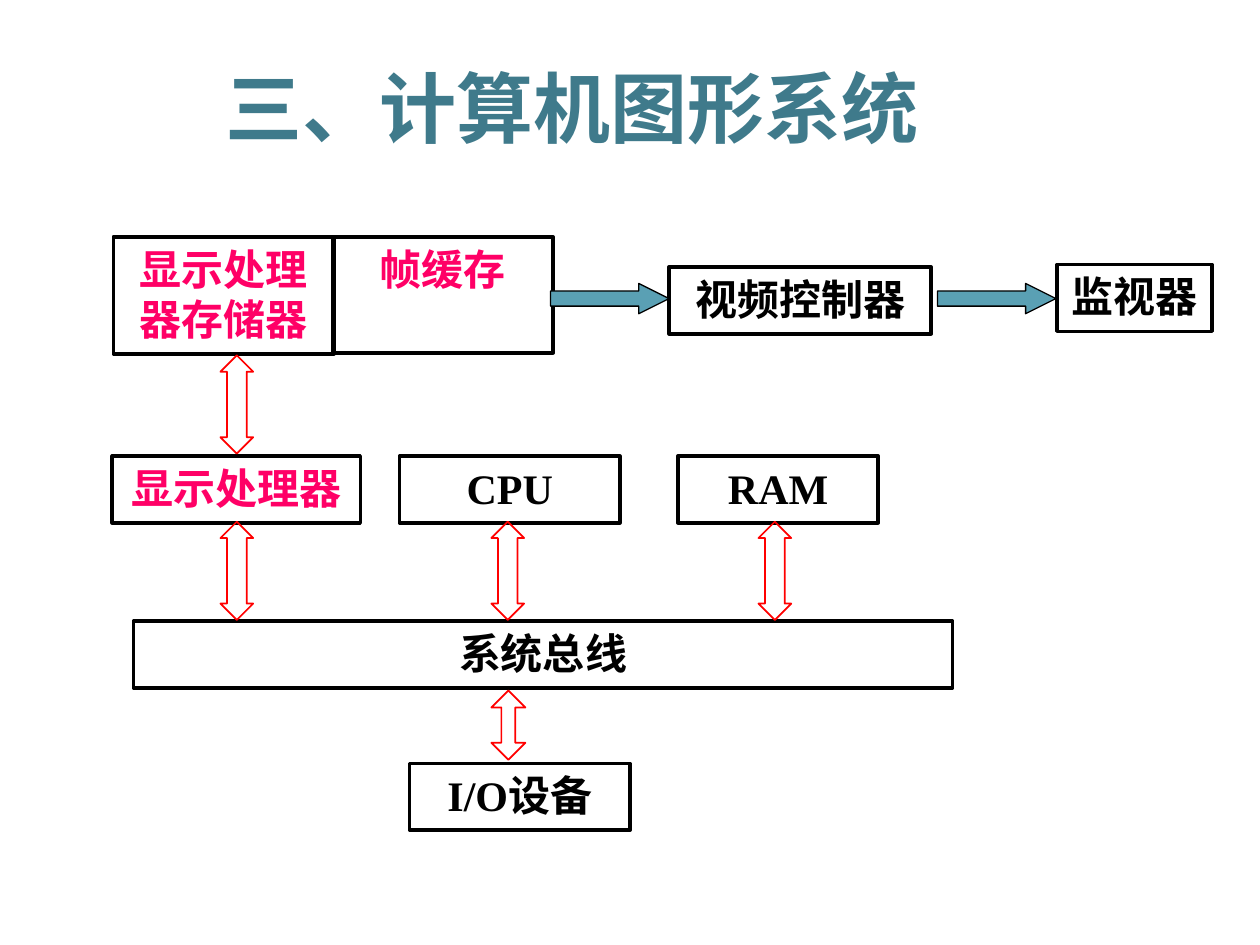
"""Build the slide on the parts of a computer graphics system."""
from pptx import Presentation
from pptx.dml.color import RGBColor
from pptx.enum.shapes import MSO_SHAPE
from pptx.enum.text import MSO_ANCHOR, MSO_AUTO_SIZE, PP_ALIGN
from pptx.util import Inches, Pt

BLACK = RGBColor(0x00, 0x00, 0x00)
RED = RGBColor(0xFF, 0x00, 0x00)
PINK = RGBColor(0xFF, 0x00, 0x66)
TEAL = RGBColor(0x5A, 0xA0, 0xB4)
DARK = RGBColor(0x3F, 0x7A, 0x8B)

deck = Presentation()
deck.slide_width, deck.slide_height = Inches(10), Inches(7.5)
slide = deck.slides.add_slide(deck.slide_layouts[6])


def add_form(kind, area, color, width, fill=None):
    form = slide.shapes.add_shape(kind, *map(Inches, area))
    form.shadow.inherit = False
    if fill is None:
        form.fill.background()
    else:
        form.fill.solid()
        form.fill.fore_color.rgb = fill
    form.line.color.rgb = color
    form.line.width = Pt(width)
    return form


def set_text(frame, text, face, size, color):
    para = frame.paragraphs[0]
    para.text = text
    para.alignment = PP_ALIGN.CENTER
    para.font.name = face
    para.font.size = Pt(size)
    para.font.bold = True
    para.font.color.rgb = color


title = slide.shapes.add_textbox(Inches(1.26), Inches(0.42), Inches(6.57), Inches(0.84))
title.text_frame.word_wrap = True
title.text_frame.vertical_anchor = MSO_ANCHOR.BOTTOM
set_text(title.text_frame, "三、计算机图形系统", "Noto Sans CJK SC", 44, DARK)

boxes = [
    ("显示处理器存储器", 0.9, 1.88, 1.75, 0.93, PINK),
    ("帧缓存", 2.64, 1.88, 1.75, 0.92, PINK),
    ("视频控制器", 5.31, 2.12, 2.08, 0.53, BLACK),
    ("监视器", 8.39, 2.1, 1.23, 0.53, BLACK),
    ("显示处理器", 0.89, 3.62, 1.97, 0.53, PINK),
    ("CPU", 3.17, 3.62, 1.75, 0.53, BLACK),
    ("RAM", 5.38, 3.62, 1.59, 0.53, BLACK),
    ("系统总线", 1.06, 4.93, 6.5, 0.53, BLACK),
    ("I/O设备", 3.25, 6.06, 1.75, 0.53, BLACK),
]
for text, *area, color in boxes:
    frame = add_form(MSO_SHAPE.RECTANGLE, area, BLACK, 2).text_frame
    frame.word_wrap = text != "监视器"
    frame.auto_size = MSO_AUTO_SIZE.NONE
    frame.vertical_anchor = MSO_ANCHOR.TOP
    set_text(frame, text, "Times New Roman", 24, color)

links = [
    (1.75, 2.82, 0.26, 0.78, 0.6),
    (1.75, 4.14, 0.26, 0.78, 0.6),
    (3.9, 4.14, 0.26, 0.78, 0.6),
    (6.02, 4.14, 0.26, 0.78, 0.6),
    (3.9, 5.48, 0.27, 0.55, 0.41),
]
for *area, head in links:
    arrow = add_form(MSO_SHAPE.UP_DOWN_ARROW, area, RED, 1)
    arrow.adjustments[0] = 0.5
    arrow.adjustments[1] = head

for left in (4.37, 7.44):
    arrow = add_form(MSO_SHAPE.RIGHT_ARROW, (left, 2.25, 0.94, 0.24), BLACK, 0.75, TEAL)
    arrow.adjustments[0] = 0.5
    arrow.adjustments[1] = 1

deck.save("out.pptx")
